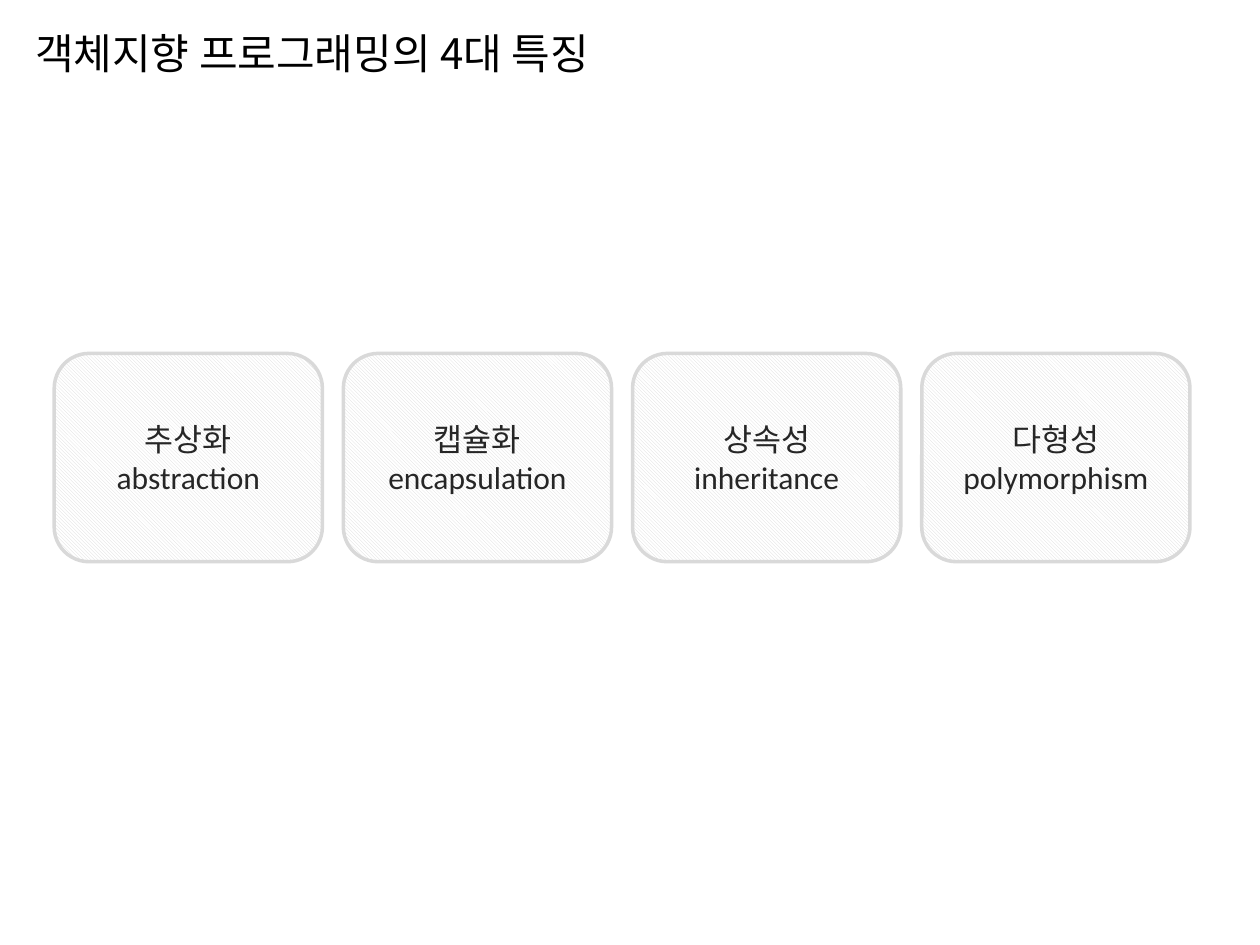
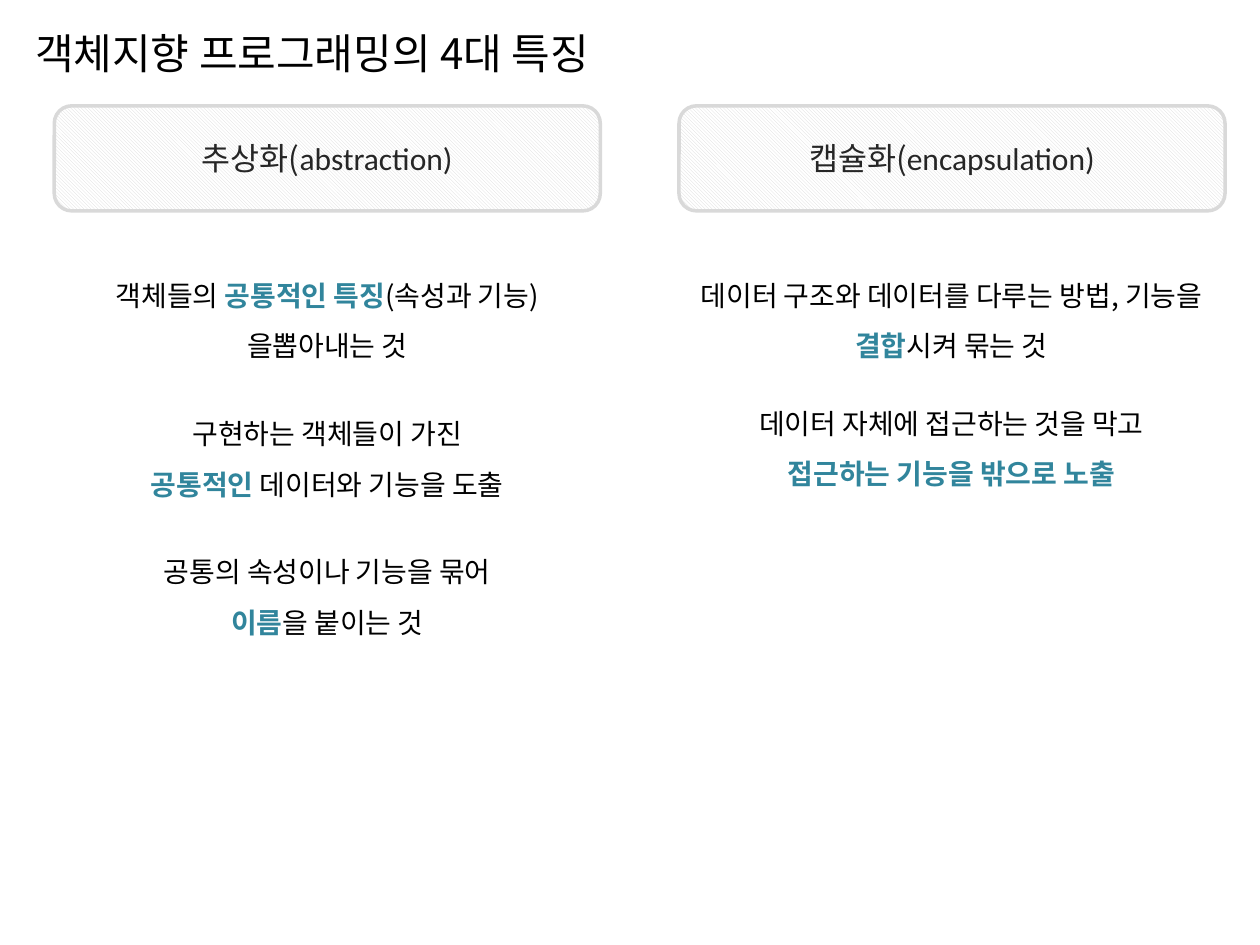
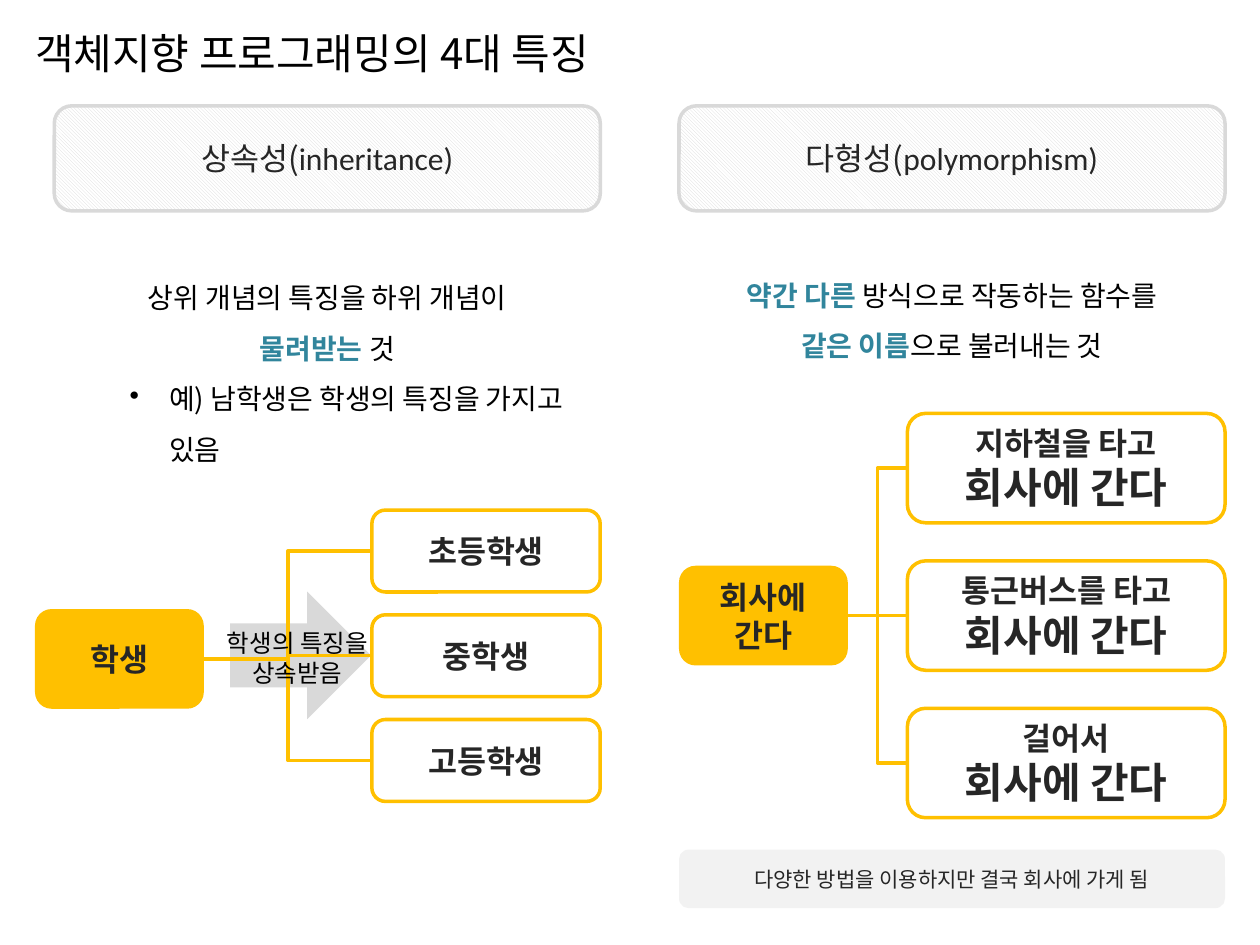
import dataclasses

import lxml.etree
import pptx
import pptx.dml.color
import pptx.enum.dml
import pptx.enum.shapes
import pptx.enum.text
import pptx.oxml.ns
import pptx.util

Pt = pptx.util.Pt
RGB = pptx.dml.color.RGBColor.from_string
SHAPE = pptx.enum.shapes.MSO_SHAPE
ALIGN = pptx.enum.text.PP_ALIGN
ANCHOR = pptx.enum.text.MSO_ANCHOR
qn = pptx.oxml.ns.qn


@dataclasses.dataclass(frozen=True)
class Theme:
    korean: str = "Noto Sans CJK KR"
    latin: str = "Calibri"
    black: str = "000000"
    ink: str = "262626"
    accent: str = "31859C"
    gray: str = "D9D9D9"
    pale: str = "F2F2F2"
    white: str = "FFFFFF"
    gold: str = "FFC000"
    title: int = 24
    label: int = 18
    body: int = 16
    small: int = 14
    note: int = 12
    line: int = 2


@dataclasses.dataclass(frozen=True)
class Box:
    x: float
    y: float
    w: float
    h: float

    def points(self):
        return Pt(self.x), Pt(self.y), Pt(self.w), Pt(self.h)


T = Theme()
TITLE = "객체지향 프로그래밍의 4대 특징"
LEFT = Box(31, 60.5, 312, 460)
RIGHT = Box(388, 60.5, 312, 460)
HEADER_H = 60
BODY_DY = 85.5  # from the top of a column to its first text


# Text helpers
def style_paragraph(p, size, color=T.black, bold=False, align=ALIGN.CENTER, spacing=None):
    p.alignment = align
    if spacing:
        p.line_spacing = spacing
    p.font.size, p.font.bold, p.font.name = Pt(size), bold, T.korean
    p.font.color.rgb = RGB(color)
    font = p._p.get_or_add_pPr().get_or_add_defRPr()
    lxml.etree.SubElement(font, qn("a:ea")).set("typeface", T.korean)


def accent_run(r):
    r.font.bold = True
    r.font.color.rgb = RGB(T.accent)


def latin_run(r):
    r.font.name = T.latin


def write(tf, lines, size, mark=accent_run, **style):
    """Write one paragraph per line; parts between asterisks get the mark."""
    tf.word_wrap = True
    for i, line in enumerate(lines):
        p = tf.paragraphs[0] if i == 0 else tf.add_paragraph()
        for j, part in enumerate(line.split("*")):
            if part:
                r = p.add_run()
                r.text = part
                if j % 2:
                    mark(r)
        style_paragraph(p, size, **style)


def add_text(slide, box, lines, size, **style):
    tf = slide.shapes.add_textbox(*box.points()).text_frame
    write(tf, lines, size, **style)
    return tf


def add_body(slide, box, lines):
    return add_text(slide, box, lines, T.body, spacing=1.5)


# Shape helpers
def add_panel(slide, box, fill=None, line=None, kind=SHAPE.ROUNDED_RECTANGLE):
    sp = slide.shapes.add_shape(kind, *box.points())
    sp.shadow.inherit = False
    if fill:
        sp.fill.solid()
        sp.fill.fore_color.rgb = RGB(fill)
    else:
        sp.fill.background()
    if line:
        sp.line.color.rgb = RGB(line)
        sp.line.width = Pt(T.line)
    else:
        sp.line.fill.background()
    sp.text_frame.vertical_anchor = ANCHOR.MIDDLE
    return sp


def add_card(slide, box, lines):
    sp = add_panel(slide, box, line=T.gray)
    sp.fill.patterned()
    sp.fill.pattern = pptx.enum.dml.MSO_PATTERN.LIGHT_DOWNWARD_DIAGONAL
    sp.fill.fore_color.rgb = RGB(T.gray)
    sp.fill.back_color.rgb = RGB(T.white)
    write(sp.text_frame, lines, T.label, mark=latin_run, color=T.ink)


def add_elbow(slide, x1, y1, x2, y2):
    cxn = slide.shapes.add_connector(
        pptx.enum.shapes.MSO_CONNECTOR.ELBOW, Pt(x1), Pt(y1), Pt(x2), Pt(y2))
    cxn.line.color.rgb = RGB(T.gold)
    cxn.line.width = Pt(T.line)
    lxml.etree.SubElement(cxn._element.spPr, qn("a:effectLst"))


# Regions
def new_slide(prs):
    slide = prs.slides.add_slide(prs.slide_layouts[6])
    tf = add_text(slide, Box(0, 0, 439, 60.5), [TITLE], T.title, align=ALIGN.JUSTIFY)
    tf.margin_left = Pt(20)
    tf.vertical_anchor = ANCHOR.MIDDLE
    return slide


def card_row(slide, box, names, gap=12):
    w = (box.w - gap * (len(names) - 1)) / len(names)
    for i, (korean, english) in enumerate(names):
        add_card(slide, Box(box.x + i * (w + gap), box.y, w, box.h), [korean, f"*{english}*"])


def column_header(slide, column, korean, english):
    add_card(slide, Box(column.x, column.y, column.w, HEADER_H), [f"{korean}(*{english})*"])


def text_stack(slide, box, blocks, pitch):
    for i, lines in enumerate(blocks):
        add_body(slide, Box(box.x, box.y + i * pitch, box.w, 65.5), lines)


def tree(slide, box, root, leaves, leaf_w, gap, root_drop=0):
    """Root at the left edge of the box, leaves stacked along its right edge."""
    root_w, root_h = 96.5, 57
    root_y = box.y + box.h / 2 + root_drop
    sp = add_panel(slide, Box(box.x, root_y - root_h / 2, root_w, root_h), fill=T.gold)
    write(sp.text_frame, [root], T.label, color=T.ink, bold=True)

    leaf_x = box.x + box.w - leaf_w
    leaf_h = (box.h - gap * (len(leaves) - 1)) / len(leaves)
    for i, lines in enumerate(leaves):
        y = box.y + i * (leaf_h + gap)
        sp = add_panel(slide, Box(leaf_x, y, leaf_w, leaf_h), line=T.gold)
        write(sp.text_frame, lines, T.label, color=T.ink, bold=True)
        for p in sp.text_frame.paragraphs[1:]:
            p.font.size = Pt(T.title)
        add_elbow(slide, box.x + root_w, root_y, leaf_x, y + leaf_h / 2)


def inheritance_column(slide, column):
    column_header(slide, column, "상속성", "inheritance")
    tf = add_body(slide, Box(column.x, column.y + BODY_DY + 1.5, column.w, 124),
                  ["상위 개념의 특징을 하위 개념이", "*물려받는 *것",
                   "예) 남학생은 학생의 특징을 가지고 있음"])
    # Bulleted example
    p = tf.paragraphs[-1]
    p.alignment, p.level = ALIGN.LEFT, 1
    pPr = p._p.get_or_add_pPr()
    pPr.set("marL", str(Pt(58.5)))
    pPr.set("indent", str(Pt(-22.5)))
    bullet = lxml.etree.Element(qn("a:buChar"))
    bullet.set("char", "•")
    pPr.get_or_add_defRPr().addprevious(bullet)

    # Arrow behind the tree, its label in front
    arrow = Box(column.x + 100.5, column.y + 277.5, 80.5, 73)
    add_panel(slide, arrow, fill=T.gray, kind=SHAPE.RIGHT_ARROW)
    tree(slide, Box(column.x - 11, column.y + 231, column.w + 11, 166.5), "학생",
         [["초등학생"], ["중학생"], ["고등학생"]], leaf_w=130.5, gap=13, root_drop=1.75)
    add_text(slide, Box(arrow.x - 15.5, arrow.y + 17.5, 108, 41),
             ["학생의 특징을", "상속받음"], T.small)


def polymorphism_column(slide, column):
    column_header(slide, column, "다형성", "polymorphism")
    add_body(slide, Box(column.x, column.y + BODY_DY, column.w, 65.5),
             ["*약간 다른 *방식으로 작동하는 함수를", "*같은 이름*으로 불러내는 것"])
    ways = ["지하철을 타고", "통근버스를 타고", "걸어서"]
    tree(slide, Box(column.x, column.y + 175.75, column.w, 231), "회사에 간다",
         [[way, "회사에 간다"] for way in ways], leaf_w=181.5, gap=21.75)
    sp = add_panel(slide, Box(column.x, column.y + 425, column.w, 33.5), fill=T.pale)
    write(sp.text_frame, ["다양한 방법을 이용하지만 결국 회사에 가게 됨"], T.note, color=T.ink)


# Slides
def overview_slide(prs):
    card_row(new_slide(prs), Box(31, 202, 649, 119),
             [("추상화", "abstraction"), ("캡슐화", "encapsulation"),
              ("상속성", "inheritance"), ("다형성", "polymorphism")])


def definitions_slide(prs):
    slide = new_slide(prs)
    column_header(slide, LEFT, "추상화", "abstraction")
    text_stack(slide, Box(LEFT.x, LEFT.y + BODY_DY, LEFT.w, 223), [
        ["객체들의 *공통적인 특징*(속성과 기능)을뽑아내는 것"],
        ["구현하는 객체들이 가진", "*공통적인* 데이터와 기능을 도출"],
        ["공통의 속성이나 기능을 묶어", "*이름*을 붙이는 것"],
    ], pitch=79)
    column_header(slide, RIGHT, "캡슐화", "encapsulation")
    text_stack(slide, Box(RIGHT.x - 6, RIGHT.y + BODY_DY, RIGHT.w + 11.5, 138.5), [
        ["데이터 구조와 데이터를 다루는 방법, 기능을 *결합*시켜 묶는 것"],
        ["데이터 자체에 접근하는 것을 막고", "*접근하는 기능을 밖으로 노출*"],
    ], pitch=73)


def examples_slide(prs):
    slide = new_slide(prs)
    inheritance_column(slide, LEFT)
    polymorphism_column(slide, RIGHT)


def main():
    prs = pptx.Presentation()
    prs.slide_width, prs.slide_height = Pt(720), Pt(540)
    overview_slide(prs)
    definitions_slide(prs)
    examples_slide(prs)
    prs.save("out.pptx")


if __name__ == "__main__":
    main()
